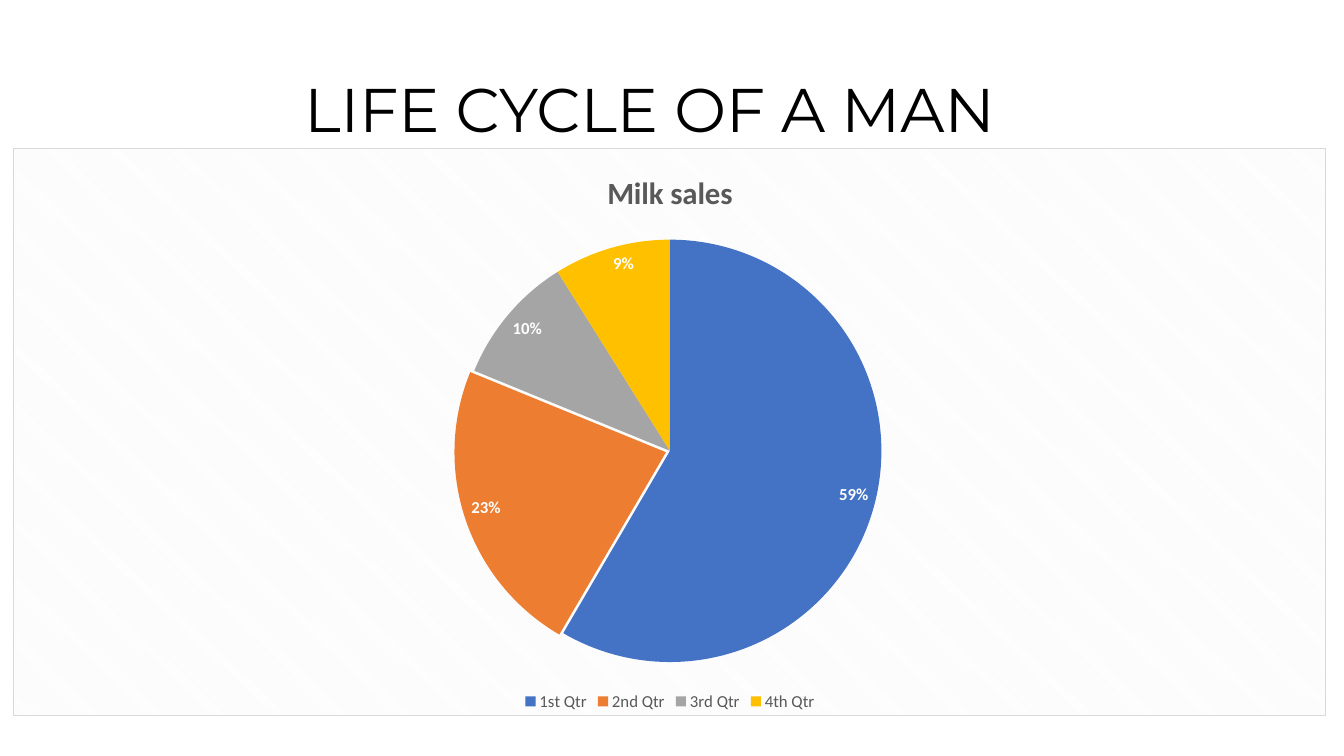
from pptx import Presentation
from pptx.chart.data import CategoryChartData
from pptx.dml.color import RGBColor
from pptx.enum.chart import XL_CHART_TYPE, XL_LABEL_POSITION, XL_LEGEND_POSITION
from pptx.enum.text import MSO_ANCHOR, PP_ALIGN
from pptx.oxml import parse_xml
from pptx.util import Inches, Pt

PIE = XL_CHART_TYPE.PIE
INSIDE_END = XL_LABEL_POSITION.INSIDE_END
BOTTOM = XL_LEGEND_POSITION.BOTTOM
MIDDLE = MSO_ANCHOR.MIDDLE
LEFT = PP_ALIGN.LEFT

THEME = {
    "title": {"name": "Montserrat", "size": Pt(44), "bold": False, "color": "000000"},
    "chart": {"name": "Calibri", "size": Pt(10), "color": "000000"},
    "heading": {"name": "Calibri", "size": Pt(22), "bold": True, "color": "595959"},
    "legend": {"name": "Calibri", "size": Pt(12), "bold": False, "color": "595959"},
    "label": {"name": "Calibri", "size": Pt(12), "bold": True, "color": "FFFFFF"},
    "pattern": ("F2F2F2", "FFFFFF"),
    "border": "D9D9D9",
}
QUARTERS = {
    "1st Qtr": (59, "4472C4"),
    "2nd Qtr": (23, "ED7D31"),
    "3rd Qtr": (10, "A5A5A5"),
    "4th Qtr": (9, "FFC000"),
}
PULLED_QUARTER = 1


def style(font, role):
    for key, value in THEME[role].items():
        if key == "color":
            font.color.rgb = RGBColor.from_string(value)
        else:
            setattr(font, key, value)


prs = Presentation()
prs.slide_width, prs.slide_height = Inches(13.33), Inches(7.5)
W, H = prs.slide_width, prs.slide_height
s = prs.slides.add_slide(prs.slide_layouts[5])

title = s.shapes.title
box = {"left": 0.069, "top": 0.053, "width": 0.863, "height": 0.193}
for key, share in box.items():
    setattr(title, key, int(share * (W if key in ("left", "width") else H)))
tf = title.text_frame
for key, value in {"word_wrap": True, "vertical_anchor": MIDDLE, "margin_left": Inches(2.1)}.items():
    setattr(tf, key, value)
p = tf.paragraphs[0]
p.alignment, p.line_spacing = LEFT, 0.9
r = p.add_run()
r.text = "LIFE CYCLE OF A MAN"
style(r.font, "title")

data = CategoryChartData(number_format='0"%"')
data.categories = list(QUARTERS)
data.add_series("Milk sales", [value for value, color in QUARTERS.values()])
chart = s.shapes.add_chart(
    PIE, int(0.01 * W), int(0.196 * H), int(0.977 * W), int(0.751 * H), data
).chart
style(chart.font, "chart")

chart.has_title = True
p = chart.chart_title.text_frame.paragraphs[0]
r = p.add_run()
r.text = "Milk sales"
style(r.font, "heading")
chart.chart_title.include_in_layout = False

chart.has_legend = True
legend = chart.legend
legend.position, legend.include_in_layout = BOTTOM, False
style(legend.font, "legend")

plot = chart.plots[0]
plot.vary_by_categories = True
plot.has_data_labels = True
labels = plot.data_labels
label_format = {
    "show_value": True,
    "show_percentage": False,
    "number_format": '0"%"',
    "number_format_is_linked": False,
    "position": INSIDE_END,
}
for key, value in label_format.items():
    setattr(labels, key, value)
style(labels.font, "label")

for i, (value, color) in enumerate(QUARTERS.values()):
    point = plot.series[0].points[i]
    point.format.fill.solid()
    point.format.fill.fore_color.rgb = RGBColor.from_string(color)
    point.format.line.fill.background()

C_NS = "http://schemas.openxmlformats.org/drawingml/2006/chart"
A_NS = "http://schemas.openxmlformats.org/drawingml/2006/main"
dpt = plot.series[0]._element.findall(f"{{{C_NS}}}dPt")[PULLED_QUARTER]
dpt.find(f"{{{C_NS}}}spPr").addprevious(parse_xml(f'<c:explosion xmlns:c="{C_NS}" val="2"/>'))

fore, back = THEME["pattern"]
area = parse_xml(
    f'<c:spPr xmlns:c="{C_NS}" xmlns:a="{A_NS}"><a:pattFill prst="dkDnDiag">'
    f'<a:fgClr><a:srgbClr val="{fore}"/></a:fgClr>'
    f'<a:bgClr><a:srgbClr val="{back}"/></a:bgClr></a:pattFill>'
    f'<a:ln w="{Pt(0.75)}"><a:solidFill><a:srgbClr val="{THEME["border"]}"/>'
    "</a:solidFill></a:ln></c:spPr>"
)
chart._chartSpace.find(f"{{{C_NS}}}txPr").addprevious(area)

prs.save("out.pptx")
